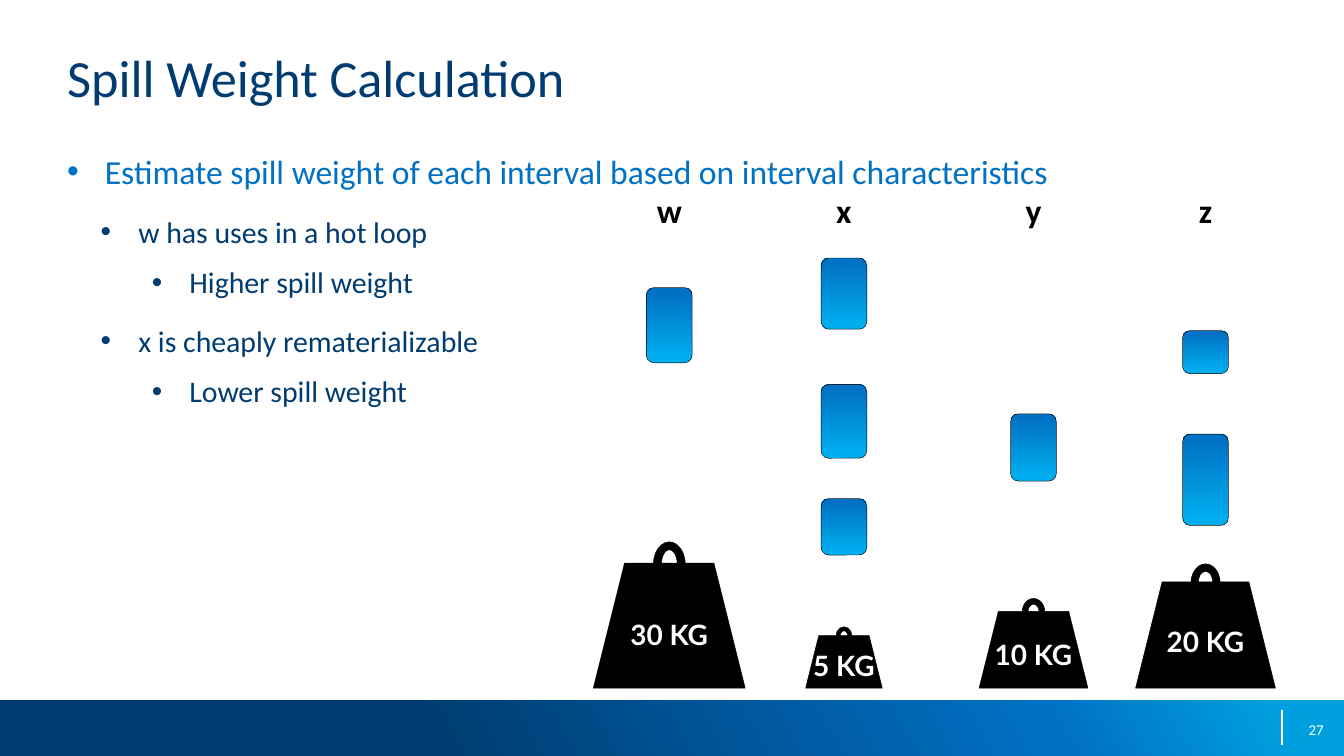
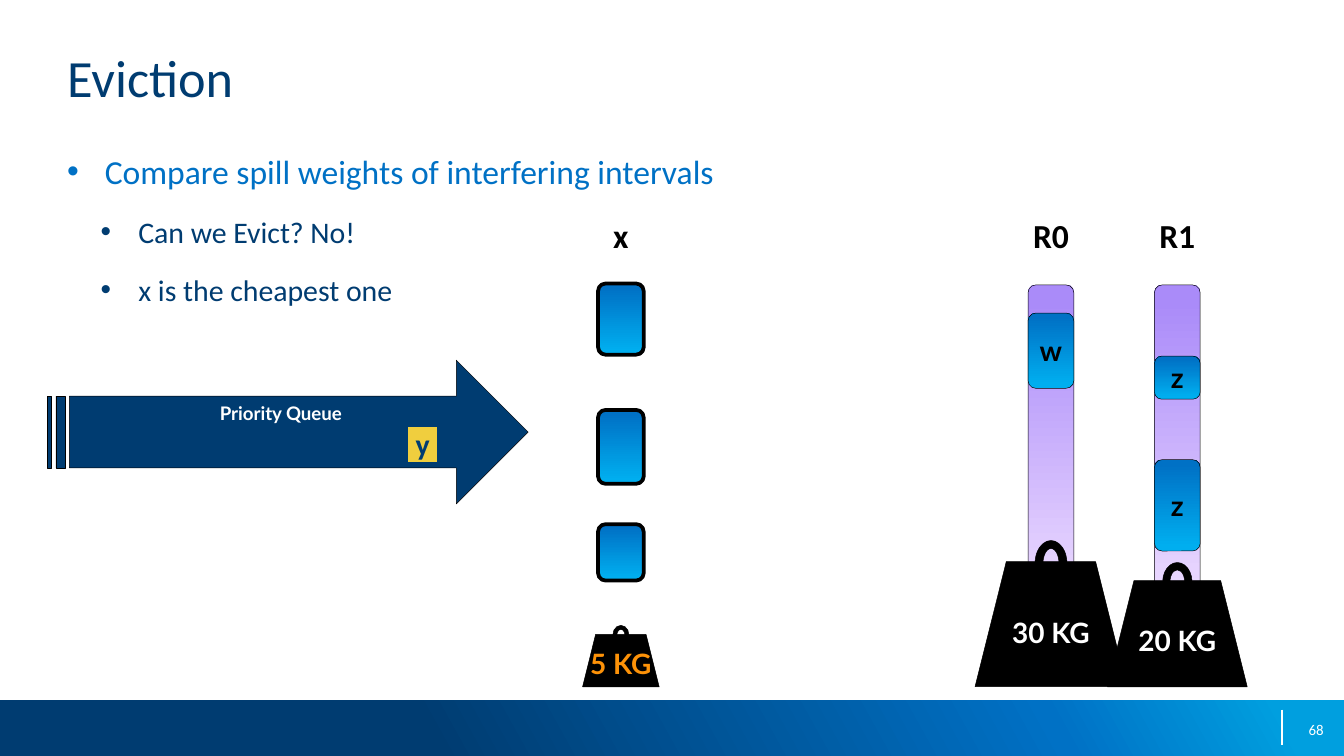
from copy import deepcopy

from lxml import etree
from pptx import Presentation
from pptx.dml.color import RGBColor
from pptx.enum import shapes, text
from pptx.oxml import ns
from pptx.util import Inches, Pt

NAVY, BLUE, SKY = "003C71", "0071C5", "009FDF"
BLACK, WHITE, ORANGE, YELLOW = "000000", "FFFFFF", "FD9208", "F0CE3E"
BAND_STOPS = [(0.32, NAVY), (0.78, BLUE), (0.95, SKY)]
INTERVAL_STOPS = [(0.05, "00AEEF"), (0.95, BLUE)]
REGISTER_STOPS = [(0.05, "EBD9FF"), (0.95, "AA8BF9")]

SHAPE = shapes.MSO_SHAPE
ALIGN = text.PP_ALIGN
TOP, MIDDLE = text.MSO_ANCHOR.TOP, text.MSO_ANCHOR.MIDDLE
SHAPE_INSETS = (0.07, 0.04, 0.07, 0.04)
INTERVAL_WIDTH = 0.34

# Live ranges: (distance below the label's top, height)
INTERVALS = {
    "w": [(0.73, 0.56)],
    "x": [(0.51, 0.53), (1.45, 0.55), (2.3, 0.42)],
    "y": [(1.67, 0.5)],
    "z": [(1.05, 0.32), (1.82, 0.68)],
}
# Size of each weight's body, by kilograms
WEIGHT_SIZES = {30: (1.13, 0.93), 20: (1.04, 0.79), 10: (0.81, 0.57), 5: (0.57, 0.39)}

# Size, colour, left margin and space before of each bullet level
BULLET_INDENT = 0.28
BULLET_LEVELS = [(18, BLUE, 0.28, 12), (16, NAVY, 0.53, 12), (16, NAVY, 0.91, 8)]


def color(value):
    return RGBColor.from_string(value)


def box(left, top, width, height):
    return [Inches(length) for length in (left, top, width, height)]


# Text
def set_frame(shape, anchor=TOP, insets=(0, 0, 0, 0), wrap=True):
    frame = shape.text_frame
    frame.word_wrap = wrap
    frame.auto_size = text.MSO_AUTO_SIZE.NONE
    frame.vertical_anchor = anchor
    (frame.margin_left, frame.margin_top,
     frame.margin_right, frame.margin_bottom) = box(*insets)
    return frame


def add_run(paragraph, words, size, fill, bold=False, font="Calibri", align=ALIGN.LEFT):
    paragraph.alignment = align
    run = paragraph.add_run()
    run.text = words
    run.font.name, run.font.size, run.font.bold = font, Pt(size), bold
    run.font.color.rgb = color(fill)


def add_text(slide, place, words, size, fill, bold=False, align=ALIGN.LEFT, anchor=TOP):
    frame = set_frame(slide.shapes.add_textbox(*box(*place)), anchor)
    add_run(frame.paragraphs[0], words, size, fill, bold, align=align)


def add_shape_text(shape, words, size, fill, anchor=MIDDLE):
    frame = set_frame(shape, anchor, SHAPE_INSETS, wrap=False)
    add_run(frame.paragraphs[0], words, size, fill, True, "Lato", ALIGN.CENTER)


# Shapes
def set_gradient(shape, stops, angle):
    shape.fill.gradient()
    shape.fill.gradient_angle = angle
    stop_list = shape._element.spPr.find(".//" + ns.qn("a:gsLst"))
    while len(stop_list) < len(stops):
        stop_list.append(deepcopy(stop_list[-1]))
    for stop, (position, value) in zip(shape.fill.gradient_stops, stops):
        stop.position = position
        stop.color.rgb = color(value)


def add_shape(slide, kind, place, fill, line=BLACK, line_width=0.25, angle=90):
    """Fill is a colour, or a list of gradient stops."""
    shape = slide.shapes.add_shape(kind, *box(*place))
    shape.shadow.inherit = False
    if isinstance(fill, str):
        shape.fill.solid()
        shape.fill.fore_color.rgb = color(fill)
    else:
        set_gradient(shape, fill, angle)
    if line:
        shape.line.color.rgb = color(line)
        shape.line.width = Pt(line_width)
    else:
        shape.line.fill.background()
    return shape


# Parts shared by both slides
def add_footer(slide, number):
    add_shape(slide, SHAPE.RECTANGLE, (0, 5.21, 10, 0.42), BAND_STOPS, line=None, angle=29)
    divider = slide.shapes.add_connector(
        shapes.MSO_CONNECTOR.STRAIGHT, *box(9.54, 5.28, 9.54, 5.54))
    divider.line.color.rgb = color(WHITE)
    divider.line.width = Pt(0.75)
    etree.SubElement(divider._element.spPr, ns.qn("a:effectLst"))
    add_text(slide, (7.52, 5.28, 2.33, 0.3), number, 8, WHITE,
             align=ALIGN.RIGHT, anchor=MIDDLE)


def add_bullets(slide, place, items):
    frame = set_frame(slide.shapes.add_textbox(*box(*place)))
    for index, (level, words) in enumerate(items):
        size, fill, margin, space = BULLET_LEVELS[level]
        paragraph = frame.add_paragraph() if index else frame.paragraphs[0]
        paragraph.level = level
        properties = paragraph._p.get_or_add_pPr()
        properties.set("marL", str(Inches(margin)))
        properties.set("indent", str(-Inches(BULLET_INDENT)))
        etree.SubElement(properties, ns.qn("a:buFont")).set("typeface", "Arial")
        etree.SubElement(properties, ns.qn("a:buChar")).set("char", "•")
        if index:
            paragraph.space_before = Pt(space)
        add_run(paragraph, words, size, fill)


def add_content_slide(presentation, title, number, items):
    slide = presentation.slides.add_slide(presentation.slide_layouts[5])
    add_footer(slide, number)
    heading = slide.shapes.title
    heading.left, heading.top, heading.width, heading.height = box(0.5, 0.34, 9, 0.73)
    add_run(set_frame(heading).paragraphs[0], title, 28, NAVY)
    add_bullets(slide, (0.5, 1.12, 9, 3.75), items)
    return slide


# Interval columns, placed by their centre and the top of their label
def add_column_label(slide, center, top, words):
    add_text(slide, (center - 0.2, top, 0.4, 0.3), words, 18, BLACK, True, ALIGN.CENTER)


def add_intervals(slide, center, top, name, line_width=0.25, labelled=False):
    for offset, height in INTERVALS[name]:
        place = (center - INTERVAL_WIDTH / 2, top + offset, INTERVAL_WIDTH, height)
        interval = add_shape(slide, SHAPE.ROUNDED_RECTANGLE, place, INTERVAL_STOPS,
                             line_width=line_width)
        if labelled:
            add_shape_text(interval, name, 15, BLACK)


def add_weight(slide, center, bottom, kilograms, fill=WHITE):
    width, height = WEIGHT_SIZES[kilograms]
    top = bottom - height
    body = add_shape(slide, SHAPE.TRAPEZOID, (center - width / 2, top, width, height), BLACK)
    add_shape_text(body, f"{kilograms} KG", 15, fill)
    handle = 0.21 * width
    add_shape(slide, SHAPE.BLOCK_ARC,
              (center - handle / 2, top - 0.17 * height, handle, 0.365 * height), BLACK)


def add_register(slide, center, top, register, name):
    add_shape(slide, SHAPE.ROUNDED_RECTANGLE,
              (center - INTERVAL_WIDTH / 2, top + 0.52, INTERVAL_WIDTH, 2.41), REGISTER_STOPS)
    add_column_label(slide, center, top, register)
    add_intervals(slide, center, top, name, labelled=True)


def add_priority_queue(slide, left, top, waiting):
    arrow = add_shape(slide, SHAPE.STRIPED_RIGHT_ARROW, (left, top, 3.58, 1.07), NAVY)
    add_shape_text(arrow, "Priority Queue", 10, WHITE, TOP)
    tag = add_shape(slide, SHAPE.RECTANGLE, (left + 2.68, top + 0.49, 0.23, 0.27),
                    YELLOW, NAVY, 0.75)
    add_run(set_frame(tag).paragraphs[0], waiting, 16, NAVY, True, align=ALIGN.CENTER)


# Slides
def build_spill_weights(presentation):
    slide = add_content_slide(presentation, "Spill Weight Calculation", "27", [
        (0, "Estimate spill weight of each interval based on interval characteristics"),
        (1, "w has uses in a hot loop"),
        (2, "Higher spill weight"),
        (1, "x is cheaply rematerializable"),
        (2, "Lower spill weight"),
    ])
    columns = [("w", 4.98, 30), ("x", 6.28, 5), ("y", 7.69, 10), ("z", 8.97, 20)]
    for name, center, kilograms in columns:
        add_column_label(slide, center, 1.41, name)
        add_intervals(slide, center, 1.41, name)
        add_weight(slide, center, 5.12, kilograms)


def build_eviction(presentation):
    slide = add_content_slide(presentation, "Eviction", "68", [
        (0, "Compare spill weights of interfering intervals"),
        (1, "Can we Evict? No!"),
        (1, "x is the cheapest one"),
    ])
    top, bottom = 1.6, 5.11
    candidate, first, second = 4.62, 7.82, 8.76
    add_register(slide, first, top, "R0", "w")
    add_register(slide, second, top, "R1", "z")
    add_priority_queue(slide, 0.35, 2.68, "y")
    add_column_label(slide, candidate, top, "x")
    add_intervals(slide, candidate, top, "x", line_width=2)
    add_weight(slide, second, bottom, 20)
    add_weight(slide, first, bottom, 30)
    add_weight(slide, candidate, bottom, 5, ORANGE)


def main():
    presentation = Presentation()
    presentation.slide_width = Inches(10)
    presentation.slide_height = presentation.slide_width * 9 // 16
    build_spill_weights(presentation)
    build_eviction(presentation)
    presentation.save("out.pptx")


if __name__ == "__main__":
    main()
